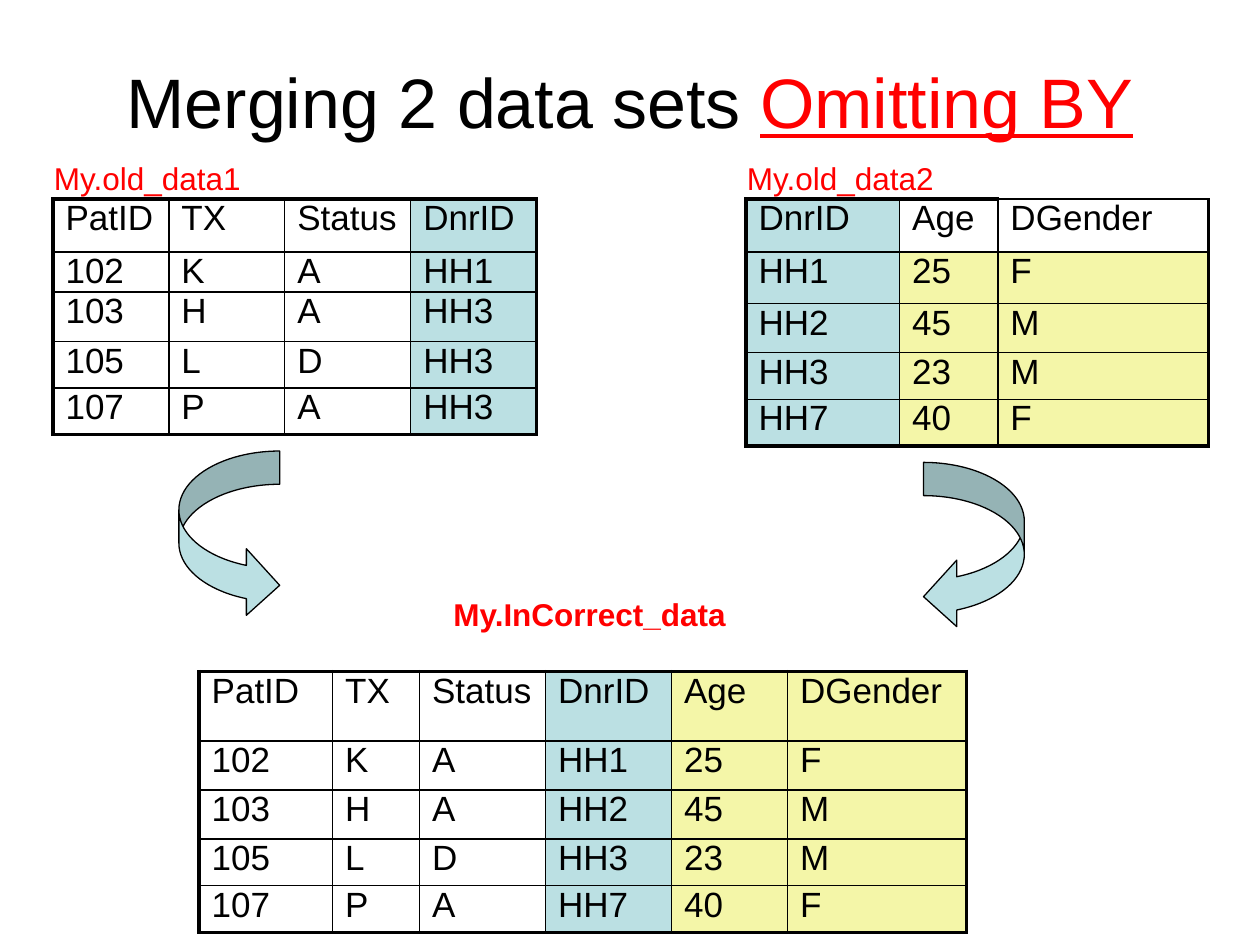
from lxml.etree import SubElement
from pptx import Presentation
from pptx.dml.color import RGBColor
from pptx.enum.shapes import MSO_SHAPE as Shape
from pptx.enum.text import MSO_ANCHOR as Anchor, MSO_AUTO_SIZE as AutoSize, PP_ALIGN as Align
from pptx.oxml.ns import qn
from pptx.util import Inches, Pt

BLACK, RED, BLUE, YELLOW = "000000", "FF0000", "BBE0E3", "F4F6A8"
COLUMN_FILLS = {"DnrID": BLUE, "Age": YELLOW, "DGender": YELLOW}
THIN, THICK = 1, 2.25


def color(value):
    """Turn a hex string into a colour."""
    return RGBColor.from_string(value)


def add_span(para, text, hue, **formats):
    """Add a run of Arial text with the given font settings."""
    span = para.add_run()
    span.text = text
    span.font.color.rgb = color(hue)
    for name, value in {"name": "Arial", **formats}.items():
        setattr(span.font, name, value)


def add_title(page, box):
    """Fill the title placeholder with its two-colour heading."""
    title = page.shapes.title
    for name, value in zip(("left", "top", "width", "height"), box):
        setattr(title, name, Inches(value))
    frame = title.text_frame
    for name, value in {"word_wrap": True, "auto_size": AutoSize.NONE,
                        "vertical_anchor": Anchor.MIDDLE}.items():
        setattr(frame, name, value)
    para = frame.paragraphs[0]
    para.alignment = Align.CENTER
    add_span(para, "Merging 2 data sets ", BLACK, size=Pt(40))
    add_span(para, "Omitting BY", RED, size=Pt(40), underline=True)


def add_label(page, box, text, bold=False):
    """Add the name of a data set."""
    frame = page.shapes.add_textbox(*map(Inches, box)).text_frame
    frame.word_wrap = False
    frame.auto_size = AutoSize.SHAPE_TO_FIT_TEXT
    add_span(frame.paragraphs[0], text, RED, size=Pt(18), bold=bold)


def set_borders(cell, widths):
    """Draw black cell borders from a dict of side and width in points."""
    properties = cell._tc.get_or_add_tcPr()
    for side, width in widths.items():
        line = SubElement(properties, qn(f"a:ln{side}"), w=str(Pt(width)))
        fill = SubElement(line, qn("a:solidFill"))
        SubElement(fill, qn("a:srgbClr"), val=BLACK)


def fill_cell(cell, text, hue, widths):
    """Write one table cell with its borders and fill."""
    set_borders(cell, widths)
    if hue:
        cell.fill.solid()
        cell.fill.fore_color.rgb = color(hue)
    else:
        cell.fill.background()
    for name, value in {"margin_left": Inches(0.1), "margin_right": Inches(0.1),
                        "margin_top": 0, "margin_bottom": 0,
                        "vertical_anchor": Anchor.TOP}.items():
        setattr(cell, name, value)
    add_span(cell.text_frame.paragraphs[0], text, BLACK, size=Pt(20))


def add_data_table(page, corner, widths, heights, records, plain_heads=(), thin_tops=()):
    """Add a data set as a table with a thick outline and coloured columns."""
    sizes = (*corner, sum(widths), sum(heights))
    table = page.shapes.add_table(len(heights), len(widths), *map(Inches, sizes)).table
    table.first_row = table.horz_banding = False
    for column, width in zip(table.columns, widths):
        column.width = Inches(width)
    for row, height in zip(table.rows, heights):
        row.height = Inches(height)
    heads = records[0]
    last_row, last_column = len(records) - 1, len(heads) - 1
    for i, record in enumerate(records):
        for j, (head, text) in enumerate(zip(heads, record)):
            outer = {"L": j == 0, "R": j == last_column,
                     "T": i == 0 and head not in thin_tops, "B": i == last_row}
            borders = {side: THICK if edge else THIN for side, edge in outer.items()}
            plain = i == 0 and head in plain_heads
            fill_cell(table.cell(i, j), text, None if plain else COLUMN_FILLS.get(head), borders)


def add_curved_arrow(page, kind, box):
    """Add a curved arrow leading to the merged data set."""
    arrow = page.shapes.add_shape(kind, *map(Inches, box))
    arrow.shadow.inherit = False
    for index, value in enumerate((0.33, 0.66, 0.33)):
        arrow.adjustments[index] = value
    arrow.fill.solid()
    arrow.fill.fore_color.rgb = color(BLUE)
    arrow.line.color.rgb = color(BLACK)
    arrow.line.width = Pt(0.75)


def main():
    """Build the slide and save the deck."""
    deck = Presentation()
    deck.slide_width, deck.slide_height = Inches(10), Inches(7.5)
    page = deck.slides.add_slide(deck.slide_layouts[5])

    patients = [("PatID", "TX", "Status"), ("102", "K", "A"), ("103", "H", "A"),
                ("105", "L", "D"), ("107", "P", "A")]
    patient_donors = ["DnrID", "HH1", "HH3", "HH3", "HH3"]
    donors = [("DnrID", "Age", "DGender"), ("HH1", "25", "F"), ("HH2", "45", "M"),
              ("HH3", "23", "M"), ("HH7", "40", "F")]

    add_title(page, (0.5, 0.17, 9, 1.25))
    add_data_table(page, (5.92, 1.58), (1.22, 0.78, 1.67), (0.42, 0.41, 0.39, 0.37, 0.37),
                   donors, plain_heads=("Age", "DGender"), thin_tops=("DGender",))
    add_data_table(page, (0.42, 1.58), (0.92, 0.92, 1, 1), (0.42, 0.32, 0.39, 0.37, 0.37),
                   [(*patient, donor) for patient, donor in zip(patients, patient_donors)])
    add_data_table(page, (1.58, 5.33), (1.06, 0.69, 1, 1, 0.92, 1.42),
                   (0.55, 0.39, 0.39, 0.37, 0.37),
                   [patient + donor for patient, donor in zip(patients, donors)])
    add_curved_arrow(page, Shape.CURVED_RIGHT_ARROW, (1.42, 3.58, 0.8, 1.33))
    add_curved_arrow(page, Shape.CURVED_LEFT_ARROW, (7.33, 3.67, 0.8, 1.33))
    add_label(page, (0.33, 1.21, 1.7, 0.4), "My.old_data1")
    add_label(page, (5.83, 1.21, 1.7, 0.4), "My.old_data2")
    add_label(page, (3.5, 4.67, 2.38, 0.4), "My.InCorrect_data", bold=True)
    deck.save("out.pptx")


if __name__ == "__main__":
    main()
